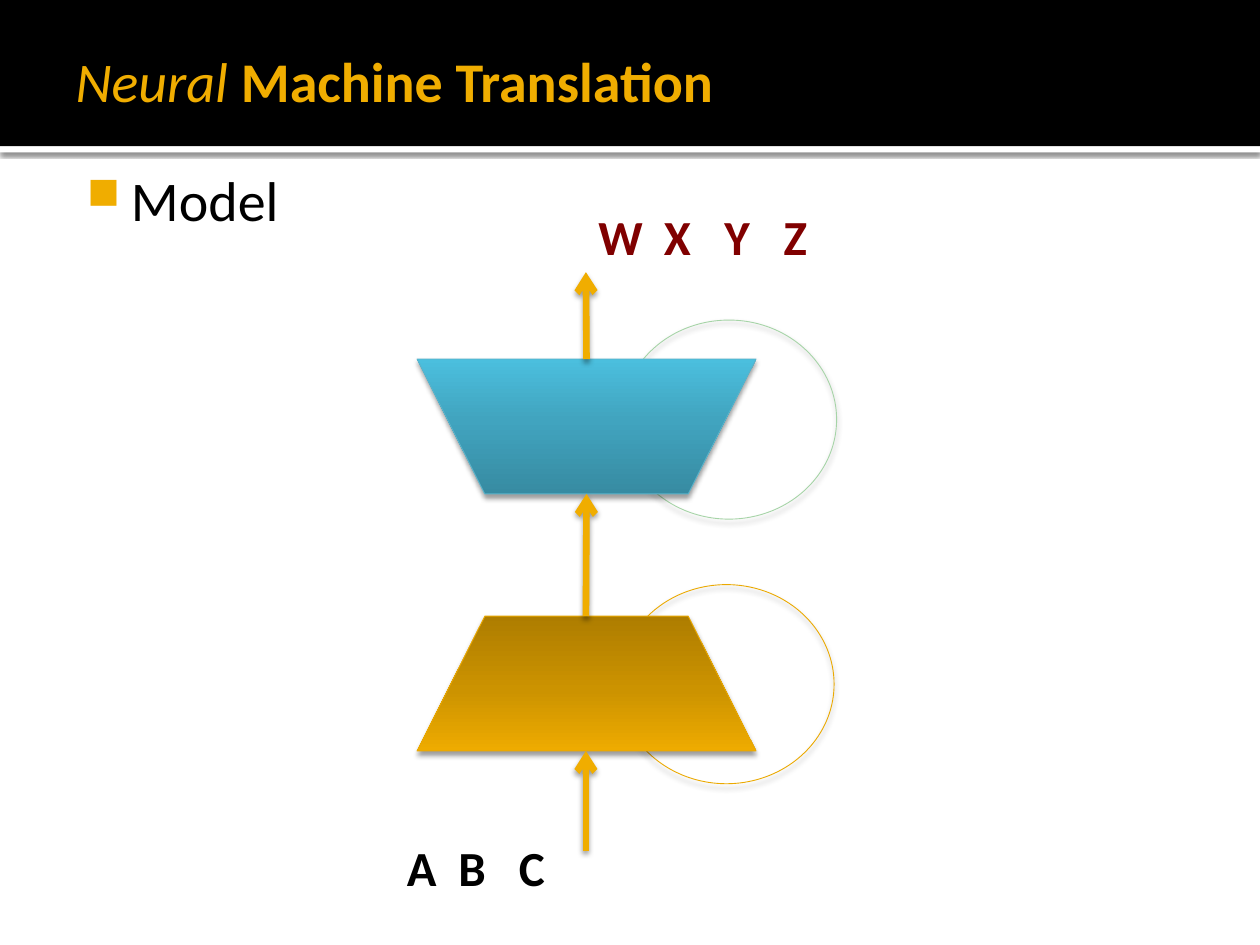
from dataclasses import dataclass

from lxml import etree
from pptx import Presentation
from pptx.dml.color import RGBColor
from pptx.enum.shapes import MSO_CONNECTOR, MSO_SHAPE
from pptx.enum.text import MSO_ANCHOR, PP_ALIGN
from pptx.oxml.ns import qn
from pptx.util import Inches, Pt

RECT, OVAL = MSO_SHAPE.RECTANGLE, MSO_SHAPE.OVAL
FUNNEL = MSO_SHAPE.FLOWCHART_MANUAL_OPERATION
STRAIGHT = MSO_CONNECTOR.STRAIGHT
MIDDLE, LEFT = MSO_ANCHOR.MIDDLE, PP_ALIGN.LEFT
TOP_SITE, BOTTOM_SITE = 0, 2
WIDE, HIGH = 10, 7.5
AXIS = 4.65
FONT = "Calibri"
COLORS = {
    "white": "FFFFFF", "black": "000000", "gold": "F0AD00",
    "amber": "EBA900", "green": "A6D4A7", "blue": "5BB3CA", "red": "800000",
}
FADES = {
    "amber": ("AE7D00", "CC9300", "EEAB00"),
    "blue": ("378BA2", "41A4BF", "4BBFDE"),
}


@dataclass
class Shade:
    alpha: int = 38
    blur: float = 3.1
    dist: float = 2


@dataclass
class Stage:
    top: float
    tint: str
    turn: int
    loop_left: float
    loop_top: float
    loop_tint: str


@dataclass
class Words:
    letters: tuple
    left: float
    top: float
    width: float
    tint: str
    stops: tuple


ENCODER = Stage(4.89, "amber", 180, 4.91, 4.64, "amber")
DECODER = Stage(2.85, "blue", 0, 4.93, 2.54, "green")
WORDS = (
    Words(("A", "B", "C"), 3.13, 6.6, 1.52, "black", (0.41, 0.89)),
    Words(("W", "X", "Y", "Z"), 4.65, 1.59, 1.98, "red", (0.52, 1, 1.47)),
)


def rgb(name: str) -> RGBColor:
    return RGBColor.from_string(COLORS[name])


def node(parent, tag: str, **attrs):
    return etree.SubElement(parent, qn(tag), {k: str(v) for k, v in attrs.items()})


def shade(item, look: Shade) -> None:
    effects = node(item._element.spPr, "a:effectLst")
    outer = node(effects, "a:outerShdw", blurRad=Pt(look.blur), dist=Pt(look.dist),
                 dir=90 * 60000, rotWithShape=0)
    color = node(outer, "a:srgbClr", val=COLORS["black"])
    node(color, "a:alpha", val=look.alpha * 1000)


def fade(shape, tones: tuple) -> None:
    """Fill with three tones that run from bottom to top."""
    shape.fill.gradient()
    grad = shape._element.spPr.find(qn("a:gradFill"))
    for child in list(grad):
        grad.remove(child)
    stops = node(grad, "a:gsLst")
    for share, tone in zip((0, 55, 100), tones):
        node(node(stops, "a:gs", pos=share * 1000), "a:srgbClr", val=tone)
    node(grad, "a:lin", ang=270 * 60000, scaled=0)


def shape(slide, kind, box: tuple, fill=None, line=None):
    item = slide.shapes.add_shape(kind, *map(Inches, box))
    if fill in FADES:
        fade(item, FADES[fill])
    elif fill:
        item.fill.solid()
        item.fill.fore_color.rgb = rgb(fill)
    else:
        item.fill.background()
    if line:
        item.line.color.rgb = rgb(line)
        item.line.width = Pt(0.5)
    else:
        item.line.fill.background()
    return item


def stage(slide, data: Stage):
    funnel = shape(slide, FUNNEL, (3.31, data.top, 2.69, 1.07), data.tint, data.tint)
    funnel.rotation = data.turn
    shade(funnel, Shade())
    return funnel


def loop(slide, data: Stage) -> None:
    ring = shape(slide, OVAL, (data.loop_left, data.loop_top, 1.71, 1.58),
                 line=data.loop_tint)
    shade(ring, Shade())


def arrow(slide, start: float, end: float):
    item = slide.shapes.add_connector(
        STRAIGHT, *map(Inches, (AXIS, start, AXIS, end)))
    item.line.color.rgb = rgb("gold")
    item.line.width = Pt(3.78)
    node(item._element.spPr.find(qn("a:ln")), "a:tailEnd", type="arrow")
    shade(item, Shade())
    return item


def write(para, text: str, size: int, tint: str, bold=False, italic=False) -> None:
    run = para.add_run()
    run.text = text
    look = {"name": FONT, "size": Pt(size), "bold": bold, "italic": italic}
    for key, value in look.items():
        setattr(run.font, key, value)
    run.font.color.rgb = rgb(tint)


def textbox(slide, box: tuple):
    frame = slide.shapes.add_textbox(*map(Inches, box)).text_frame
    frame.word_wrap = True
    return frame


def words(slide, data: Words) -> None:
    para = textbox(slide, (data.left, data.top, data.width, 0.57)).paragraphs[0]
    tabs = node(para._p.get_or_add_pPr(), "a:tabLst")
    for stop in data.stops:
        node(tabs, "a:tab", pos=Inches(stop), algn="l")
    write(para, "\t".join(data.letters), 28, data.tint, bold=True)


def inset(frame, **sides: float) -> None:
    for side, size in sides.items():
        setattr(frame, f"margin_{side}", Inches(size))


def heading(slide) -> None:
    title = slide.shapes.title
    slide.shapes._spTree.append(title._element)
    places = {"left": 0.5, "top": 0.17, "width": 9, "height": 0.93}
    for key, value in places.items():
        setattr(title, key, Inches(value))
    frame = title.text_frame
    frame.vertical_anchor = MIDDLE
    inset(frame, left=0.1, top=0.05, right=0.05, bottom=0.05)
    para = frame.paragraphs[0]
    para.alignment = LEFT
    write(para, "Neural ", 32, "gold", italic=True)
    write(para, "Machine Translation", 32, "gold", bold=True)


def topic(slide) -> None:
    frame = textbox(slide, (0.5, 1.21, 9, 5.79))
    inset(frame, left=0.06, top=0.1)
    para = frame.paragraphs[0]
    props = para._p.get_or_add_pPr()
    props.set("marL", str(Inches(0.48)))
    props.set("indent", str(Inches(-0.35)))
    node(node(props, "a:buClr"), "a:srgbClr", val=COLORS["gold"])
    node(props, "a:buSzPct", val=80000)
    node(props, "a:buChar", char="■")
    write(para, "Model", 32, "black")


def main() -> None:
    deck = Presentation()
    deck.slide_width, deck.slide_height = Inches(WIDE), Inches(HIGH)
    slide = deck.slides.add_slide(deck.slide_layouts[5])
    rule = shape(slide, RECT, (0, 1.16, WIDE, 0.05), "white")
    shade(rule, Shade(60, 2.5, 0.8))
    band = shape(slide, RECT, (0, 0, WIDE, 1.16), "black")
    band.shadow.inherit = False
    for data in (DECODER, ENCODER):
        loop(slide, data)
    heading(slide)
    topic(slide)
    stage(slide, ENCODER)
    decoder = stage(slide, DECODER)
    arrow(slide, 4.89, 3.92).end_connect(decoder, BOTTOM_SITE)
    arrow(slide, 6.75, 5.96)
    arrow(slide, 2.85, 2.16).begin_connect(decoder, TOP_SITE)
    for data in WORDS:
        words(slide, data)
    deck.save("out.pptx")


if __name__ == "__main__":
    main()
